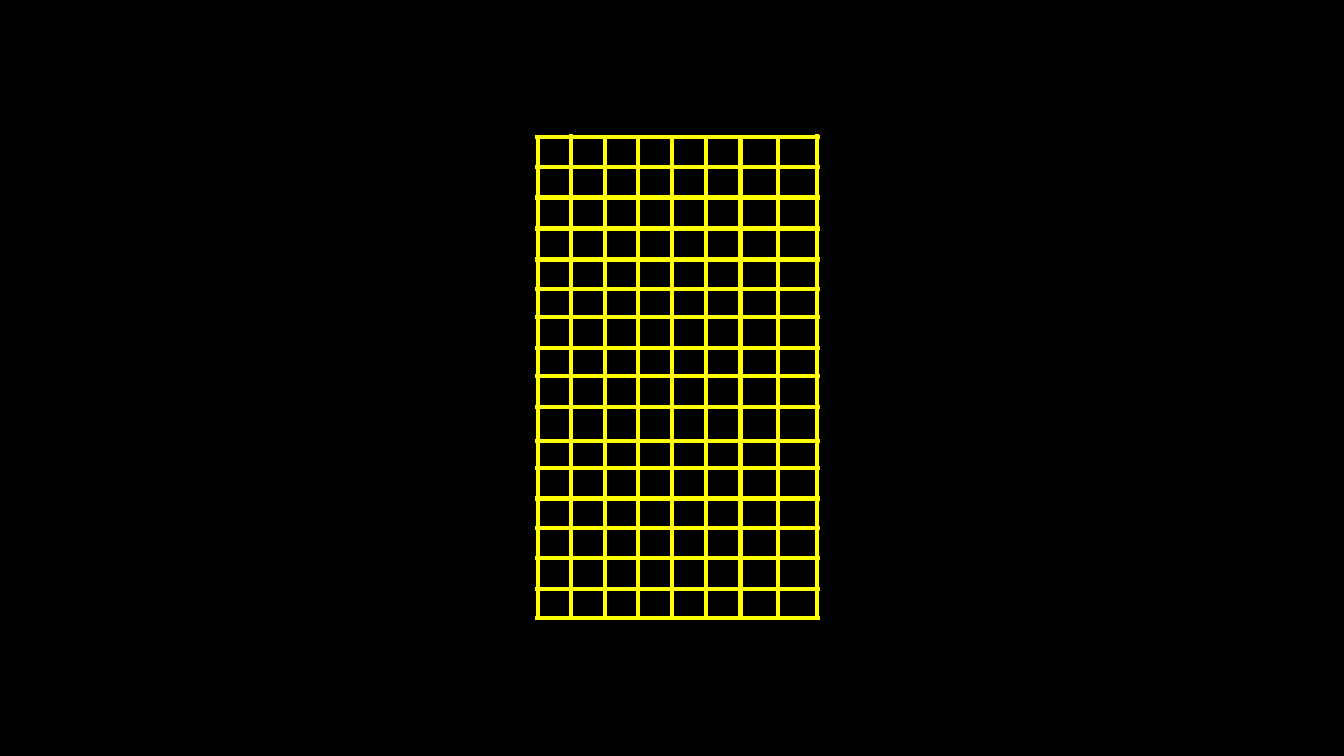
from lxml import etree
from pptx import Presentation
from pptx.dml.color import RGBColor
from pptx.enum.shapes import MSO_CONNECTOR
from pptx.oxml.ns import qn
from pptx.util import Pt

STRAIGHT = MSO_CONNECTOR.STRAIGHT
BLACK = "000000"
YELLOW = "FFFF00"


def color(value):
    return RGBColor.from_string(value)


def add_grid_line(page, left, top, right, bottom):
    line = page.shapes.add_connector(STRAIGHT, Pt(left), Pt(top), Pt(right), Pt(bottom))
    line.line.color.rgb = color(YELLOW)
    line.line.width = Pt(2.25)
    etree.SubElement(line._element.spPr, qn("a:effectLst"))


deck = Presentation()
deck.slide_width = Pt(720)
deck.slide_height = Pt(405)
page = deck.slides.add_slide(deck.slide_layouts[6])
page.background.fill.solid()
page.background.fill.fore_color.rgb = color(BLACK)

grid_left, grid_right = 286.6, 439.2
column_height = 259.2
columns = [
    (288, 72.7), (306, 72), (324, 72.7), (342, 72.7), (360, 72.7),
    (378, 72.7), (396.7, 72.7), (416.9, 72.7), (437.8, 72),
]
rows = [
    73.4, 89.3, 105.8, 122.4, 139, 154.8, 169.9, 186.5, 201.6,
    218.2, 236.2, 250.6, 267.1, 283, 298.8, 315.4, 331.2,
]

for x, top in columns:
    add_grid_line(page, x, top, x, top + column_height)

for y in rows:
    add_grid_line(page, grid_left, y, grid_right, y)

deck.save("out.pptx")
